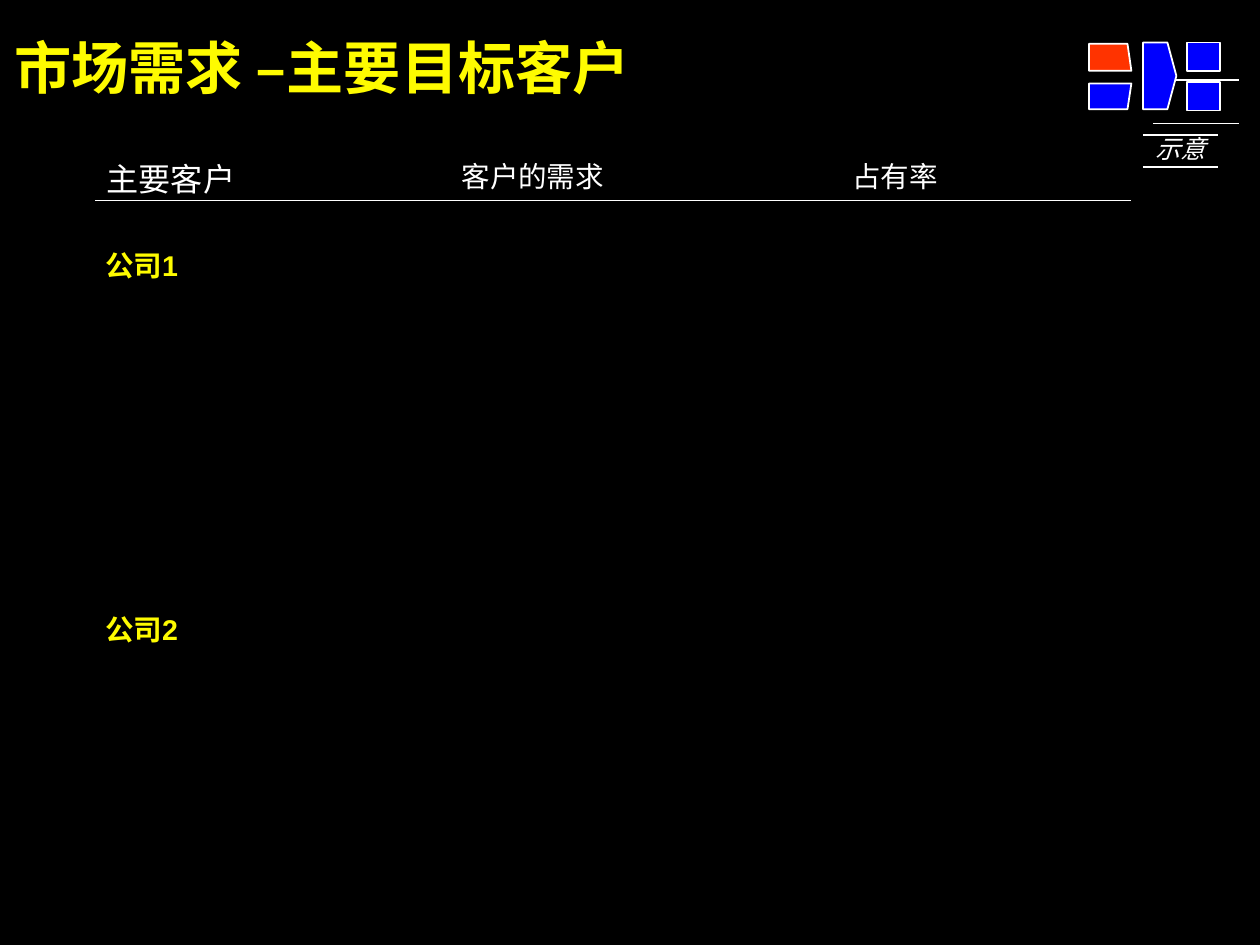
"""Build the slide on market demand and the main target customers."""
from lxml import etree
from pptx import Presentation
from pptx.enum import shapes, text
from pptx.oxml import ns
from pptx.util import Inches, Pt
from pptx.dml.color import RGBColor

COLORS = {"black": "000000", "white": "FFFFFF", "yellow": "FEFB00",
          "blue": "0000FE", "red": "FF3300"}
CJK_FONT = "Noto Sans CJK SC"


def rgb(name):
    return RGBColor.from_string(COLORS[name])


def set_text(sp, content, size, color, bold=False, italic=False, font="Arial",
             inset=(0, 0), align=text.PP_ALIGN.LEFT, wrap=True):
    tf = sp.text_frame
    tf.text = content
    tf.word_wrap = wrap
    tf.auto_size = text.MSO_AUTO_SIZE.NONE
    tf.vertical_anchor = text.MSO_ANCHOR.TOP
    tf.margin_left = tf.margin_right = Inches(inset[0])
    tf.margin_top = tf.margin_bottom = Inches(inset[1])
    p = tf.paragraphs[0]
    p.alignment = align
    r = p.runs[0]
    r.font.size = Pt(size)
    r.font.bold = bold
    r.font.italic = italic
    r.font.color.rgb = rgb(color)
    r.font.name = font
    ea = etree.SubElement(r.font._element, ns.qn("a:ea"))
    ea.set("typeface", CJK_FONT)


def add_title(s, content):
    sp = s.shapes.title
    sp.left, sp.top, sp.width, sp.height = map(Inches, (0.11, 0.25, 9.51, 1.07))
    set_text(sp, content, 32, "yellow", bold=True)


def add_label(s, box, content, size, color, **style):
    sp = s.shapes.add_textbox(*map(Inches, box))
    set_text(sp, content, size, color, **style)


def add_rule(s, left, right, y, width=0.75):
    line = s.shapes.add_connector(shapes.MSO_CONNECTOR.STRAIGHT, Inches(left),
                                  Inches(y), Inches(right), Inches(y))
    line.line.color.rgb = rgb("white")
    line.line.width = Pt(width)
    etree.SubElement(line._element.spPr, ns.qn("a:effectLst"))


def style_block(sp, color):
    sp.shadow.inherit = False
    sp.fill.solid()
    sp.fill.fore_color.rgb = rgb(color)
    sp.line.color.rgb = rgb("white")
    sp.line.width = Pt(1)


def add_outline(s, points, color):
    start, *rest = [(Inches(x), Inches(y)) for x, y in points]
    builder = s.shapes.build_freeform(*start)
    builder.add_line_segments(rest, close=True)
    style_block(builder.convert_to_shape(), color)


def add_navigator(s):
    for top in (0.33, 0.64):
        sp = s.shapes.add_shape(shapes.MSO_SHAPE.RECTANGLE, Inches(9.23),
                                Inches(top), Inches(0.26), Inches(0.22))
        style_block(sp, "blue")
    add_outline(s, [(8.89, 0.33), (9.08, 0.33), (9.15, 0.59), (9.08, 0.85),
                    (8.89, 0.85)], "blue")
    for narrow, wide, color in ((0.85, 0.65, "blue"), (0.34, 0.55, "red")):
        add_outline(s, [(8.47, narrow), (8.77, narrow), (8.8, wide),
                        (8.47, wide)], color)


def main():
    prs = Presentation()
    prs.slide_width, prs.slide_height = Inches(9.8), Inches(7.35)
    s = prs.slides.add_slide(prs.slide_layouts[5])
    s.background.fill.solid()
    s.background.fill.fore_color.rgb = rgb("black")

    for y in (0.62, 0.96):
        add_rule(s, 8.97, 9.64, y, width=1)
    add_title(s, "市场需求 –主要目标客户")

    for left, width, content, size in ((0.83, 1.4, "主要客户", 18),
                                       (3.59, 1.83, "客户的需求", 16),
                                       (6.63, 1.72, "占有率", 16)):
        add_label(s, (left, 1.24, width, 0.3), content, size, "white")
    add_rule(s, 0.74, 8.8, 1.56)

    for top, company in ((1.88, "公司1"), (4.71, "公司2")):
        add_label(s, (0.72, top, 1.9, 0.42), company, 16, "yellow", bold=True,
                  inset=(0.1, 0.05))

    add_label(s, (8.99, 1.04, 0.39, 0.23), "示意", 14, "white", italic=True,
              font=CJK_FONT, align=text.PP_ALIGN.RIGHT, wrap=False)
    for y in (1.05, 1.3):
        add_rule(s, 8.89, 9.47, y)
    add_navigator(s)
    prs.save("out.pptx")


if __name__ == "__main__":
    main()
